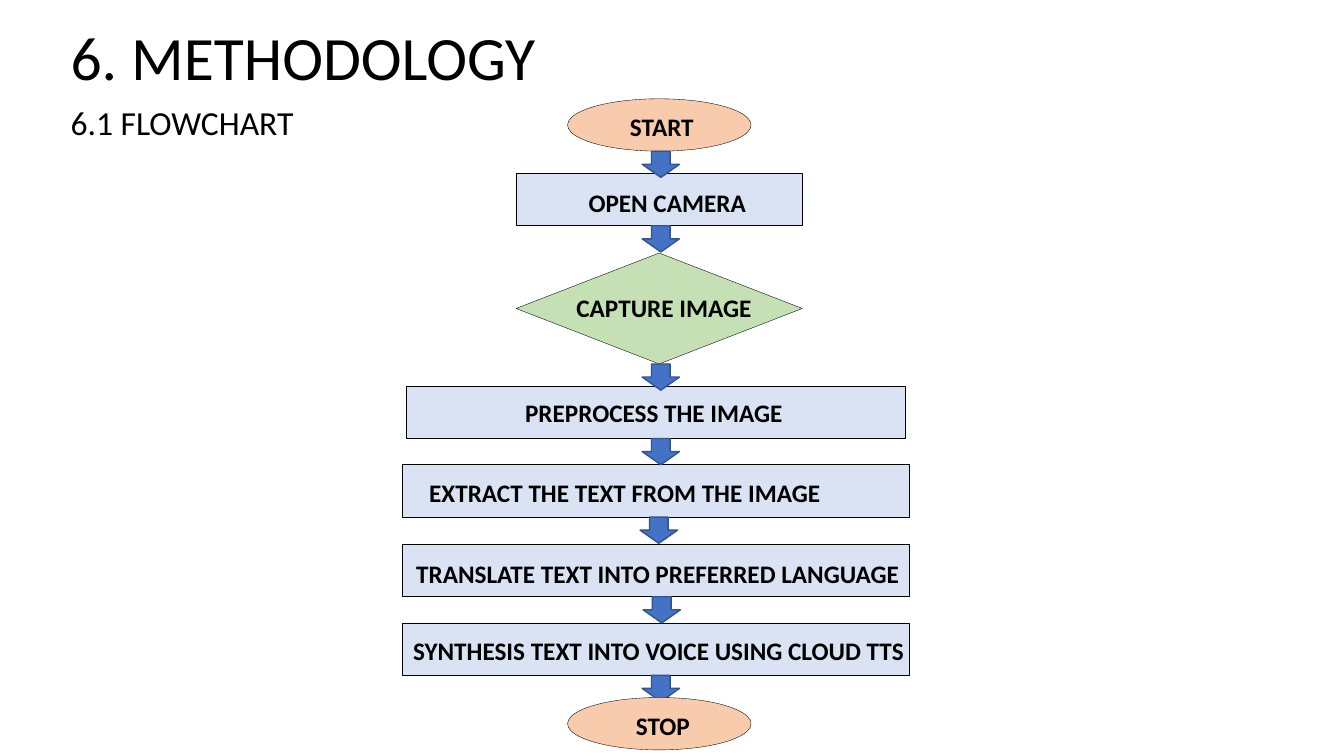
from dataclasses import dataclass

import pptx
import pptx.dml.color
import pptx.enum.shapes
import pptx.enum.text
import pptx.oxml
import pptx.oxml.ns
import pptx.util
from pptx.shapes.autoshape import Shape
from pptx.slide import Slide

SLIDE_WIDTH = pptx.util.Inches(13.333)
SLIDE_HEIGHT = pptx.util.Inches(7.5)
Preset = pptx.enum.shapes.MSO_SHAPE


@dataclass(frozen=True)
class Theme:
    font: str = "Calibri"
    text: str = "000000"
    terminal: str = "F8CBAD"
    process: str = "DAE3F3"
    decision: str = "C5E0B4"
    arrow: str = "4472C4"
    arrow_outline: str = "325491"
    title_size: float = 44
    subtitle_size: float = 24
    label_size: float = 18
    step_line: float = 0.25
    arrow_line: float = 1


@dataclass(frozen=True)
class Area:
    """A rectangle in percent of the slide's width and height."""
    left: float
    top: float
    width: float
    height: float

    def box(self) -> tuple[int, int, int, int]:
        return (
            round(SLIDE_WIDTH * self.left / 100),
            round(SLIDE_HEIGHT * self.top / 100),
            round(SLIDE_WIDTH * self.width / 100),
            round(SLIDE_HEIGHT * self.height / 100),
        )


@dataclass(frozen=True)
class StepStyle:
    preset: Preset
    fill: str
    left: float
    width: float
    height: float = 6.93


@dataclass(frozen=True)
class Step:
    label: str
    style: StepStyle
    top: float
    label_area: Area
    arrow_left: float = 47.78

    def area(self) -> Area:
        return Area(self.style.left, self.top, self.style.width, self.style.height)

    def arrow_area(self) -> Area:
        return Area(self.arrow_left, self.top + self.style.height, 2.78, 3.47)


THEME = Theme()
TITLE_AREA = Area(4.5, 1.87, 39.6, 10.93)
SUBTITLE_AREA = Area(4.5, 12.8, 20.03, 6.53)
LABEL_HEIGHT = 5.2

TERMINAL = StepStyle(Preset.OVAL, THEME.terminal, 42.23, 13.65)
SHORT = StepStyle(Preset.RECTANGLE, THEME.process, 38.4, 21.3)
DECISION = StepStyle(Preset.FLOWCHART_DECISION, THEME.decision, 38.4, 21.3, 14.67)
MEDIUM = StepStyle(Preset.RECTANGLE, THEME.process, 30.23, 37.13)
WIDE = StepStyle(Preset.RECTANGLE, THEME.process, 29.93, 37.73)

STEPS = [
    Step("START", TERMINAL, 13.07, Area(46.13, 14.13, 6.6, 9.07)),
    Step("OPEN CAMERA", SHORT, 22.93, Area(43.05, 24.13, 14.33, LABEL_HEIGHT)),
    Step("CAPTURE IMAGE", DECISION, 33.47, Area(42.15, 38, 15.9, LABEL_HEIGHT)),
    Step("PREPROCESS THE IMAGE", MEDIUM, 51.07, Area(38.33, 51.87, 23.03, LABEL_HEIGHT)),
    Step("EXTRACT THE TEXT FROM THE IMAGE", WIDE, 61.47,
         Area(31.2, 62.53, 35.18, LABEL_HEIGHT), 47.63),
    Step("TRANSLATE TEXT INTO PREFERRED LANGUAGE", WIDE, 72,
         Area(30.23, 73.2, 42, LABEL_HEIGHT), 47.85),
    Step("SYNTHESIS TEXT INTO VOICE USING CLOUD TTS", WIDE, 82.4,
         Area(30, 83.33, 42.83, LABEL_HEIGHT)),
    Step("STOP", TERMINAL, 92.27, Area(46.58, 93.33, 6.75, LABEL_HEIGHT)),
]


def color(value: str) -> pptx.dml.color.RGBColor:
    return pptx.dml.color.RGBColor.from_string(value)


def write_line(shape: Shape, text: str, size: float, bold: bool = False) -> None:
    """Set one left-aligned line at the top of the shape."""
    frame = shape.text_frame
    frame.word_wrap = True
    frame.auto_size = pptx.enum.text.MSO_AUTO_SIZE.NONE
    frame.vertical_anchor = pptx.enum.text.MSO_ANCHOR.TOP
    paragraph = frame.paragraphs[0]
    paragraph.alignment = pptx.enum.text.PP_ALIGN.LEFT
    paragraph.space_before = pptx.util.Pt(0)
    run = paragraph.add_run()
    run.text = text
    run.font.name = THEME.font
    run.font.size = pptx.util.Pt(size)
    run.font.bold = bold
    run.font.color.rgb = color(THEME.text)


def place(shape: Shape, area: Area) -> None:
    shape.left, shape.top, shape.width, shape.height = area.box()


def remove_bullet(shape: Shape) -> None:
    properties = shape.text_frame.paragraphs[0]._p.get_or_add_pPr()
    properties.set("marL", "0")
    properties.set("indent", "0")
    properties.append(pptx.oxml.parse_xml(f"<a:buNone {pptx.oxml.ns.nsdecls('a')}/>"))


def draw_headings(slide: Slide) -> None:
    title, subtitle = slide.shapes.title, slide.placeholders[1]
    place(title, TITLE_AREA)
    write_line(title, "6. METHODOLOGY", THEME.title_size)
    place(subtitle, SUBTITLE_AREA)
    remove_bullet(subtitle)
    write_line(subtitle, "6.1 FLOWCHART", THEME.subtitle_size)


def draw_shape(slide: Slide, preset: Preset, area: Area, fill: str,
               outline: str, line_width: float) -> None:
    shape = slide.shapes.add_shape(preset, *area.box())
    shape.shadow.inherit = False
    shape.fill.solid()
    shape.fill.fore_color.rgb = color(fill)
    shape.line.color.rgb = color(outline)
    shape.line.width = pptx.util.Pt(line_width)


def draw_step(slide: Slide, step: Step) -> None:
    draw_shape(slide, step.style.preset, step.area(), step.style.fill,
               THEME.text, THEME.step_line)
    label = slide.shapes.add_textbox(*step.label_area.box())
    write_line(label, step.label, THEME.label_size, bold=True)


def draw_flowchart(slide: Slide) -> None:
    """Draw the arrows over the steps they leave and under the last step."""
    *leading_steps, last_step = STEPS
    for step in leading_steps:
        draw_step(slide, step)
    for step in leading_steps:
        draw_shape(slide, Preset.DOWN_ARROW, step.arrow_area(), THEME.arrow,
                   THEME.arrow_outline, THEME.arrow_line)
    draw_step(slide, last_step)


def main() -> None:
    presentation = pptx.Presentation()
    presentation.slide_width = SLIDE_WIDTH
    presentation.slide_height = SLIDE_HEIGHT
    slide = presentation.slides.add_slide(presentation.slide_layouts[1])
    draw_headings(slide)
    draw_flowchart(slide)
    presentation.save("out.pptx")


if __name__ == "__main__":
    main()
